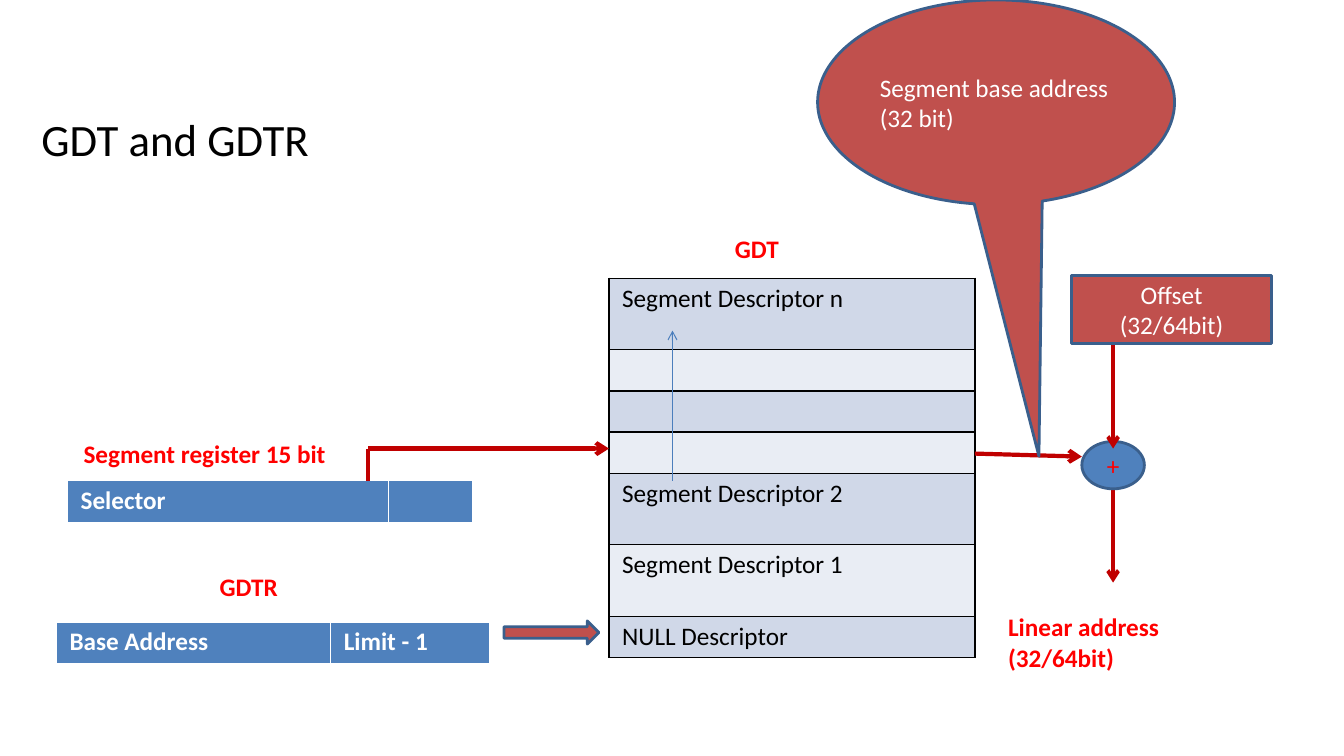
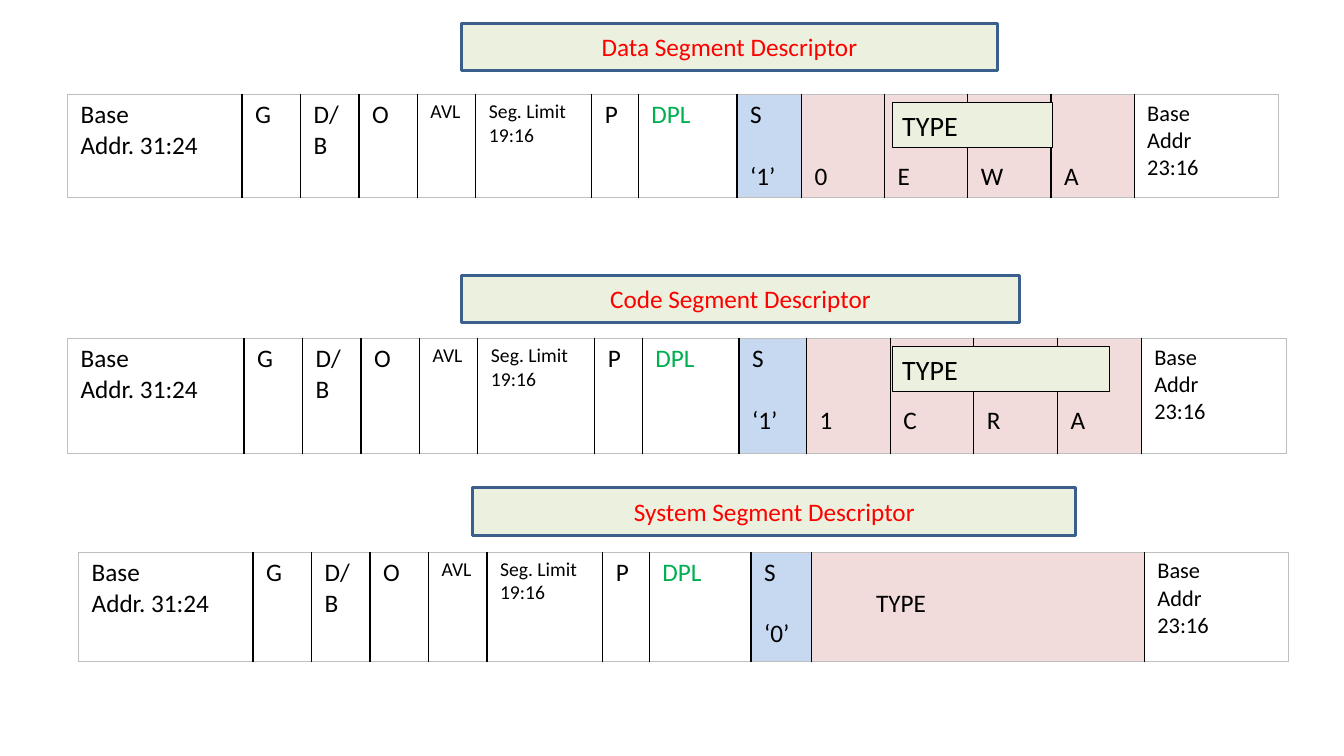
from lxml.etree import SubElement
from pptx import Presentation
from pptx.dml.color import RGBColor
from pptx.enum.shapes import MSO_CONNECTOR, MSO_SHAPE
from pptx.enum.text import MSO_ANCHOR, MSO_AUTO_SIZE, PP_ALIGN
from pptx.oxml.ns import qn
from pptx.util import Pt

PX = 9144
FONT = "Calibri"

BLACK = RGBColor(0x00, 0x00, 0x00)
WHITE = RGBColor(0xFF, 0xFF, 0xFF)
GREY = RGBColor(0xBF, 0xBF, 0xBF)
RED = RGBColor(0xFF, 0x00, 0x00)
DARK_RED = RGBColor(0xC0, 0x00, 0x00)
BRICK = RGBColor(0xC0, 0x50, 0x4D)
BLUE = RGBColor(0x4F, 0x81, 0xBD)
LINE_BLUE = RGBColor(0x4B, 0x7E, 0xBC)
EDGE_BLUE = RGBColor(0x3A, 0x5F, 0x8C)
BAND_DARK = RGBColor(0xD0, 0xD8, 0xE8)
BAND_LIGHT = RGBColor(0xE9, 0xED, 0xF4)
SKY = RGBColor(0xC6, 0xD9, 0xF1)
PINK = RGBColor(0xF2, 0xDC, 0xDB)
PALE_GREEN = RGBColor(0xEB, 0xF1, 0xDE)
GREEN = RGBColor(0x00, 0xB0, 0x50)

TITLE = "GDT and GDTR"
GDT_ROWS = [
    ("Segment Descriptor n", 71),
    ("", 41),
    ("", 40),
    ("", 41),
    ("Segment Descriptor 2", 71),
    ("Segment Descriptor 1", 71),
    ("NULL Descriptor", 41),
]
REGISTERS = [
    (56, 617, [("Base Address", 272), ("Limit - 1", 158)]),
    (67, 477, [("Selector", 318), ("", 84)]),
]
CAPTIONS = [
    ("GDT", 719, 227, 64, 40),
    ("GDTR", 208, 562, 79, 40),
    ("Segment register 15 bit", 73, 430, 262, 40),
    ("Linear address\n(32/64bit)", 990, 602, 171, 71),
]
LINES = [
    ((667, 477), (667, 328), LINE_BLUE, 0.75, True),
    ((967, 450), (1073, 453), DARK_RED, 3, True),
    ((1104, 484), (1104, 578), DARK_RED, 2.75, True),
    ((365, 477), (365, 445), DARK_RED, 3, False),
    ((365, 445), (604, 445), DARK_RED, 3, True),
]
OFFSET_LINE = ((1104, 328), (1104, 445), DARK_RED, 2.75, True)

LEADING_FIELDS = [
    ("Base\nAddr. 31:24", 18, BLACK),
    ("G", 18, BLACK),
    ("D/B", 18, BLACK),
    ("O", 18, BLACK),
    ("AVL", 14, BLACK),
    ("Seg. Limit 19:16", 14, BLACK),
    ("P", 18, BLACK),
    ("DPL", 18, GREEN),
]
LAST_FIELD = ("Base\nAddr\n23:16", 16, BLACK)
DESCRIPTORS = [
    {
        "name": "Data Segment Descriptor", "label": (458, 23, 531),
        "at": (67, 94), "height": 100, "s": "‘1’", "type_bits": "0EWA",
        "type_box": (885, 102, 159),
        "widths": [173] + [58] * 4 + [115, 46, 98, 64] + [82.5] * 4 + [143],
    },
    {
        "name": "Code Segment Descriptor", "label": (458, 273, 553),
        "at": (67, 336), "height": 114, "s": "‘1’", "type_bits": "1CRA",
        "type_box": (885, 344, 215),
        "widths": [175] + [58] * 4 + [116, 47, 96, 67] + [83] * 4 + [144],
    },
    {
        "name": "System Segment Descriptor", "label": (469, 484, 598),
        "at": (78, 548), "height": 108, "s": "‘0’", "type_bits": "",
        "type_box": None,
        "widths": [173] + [58] * 4 + [115, 46, 101, 60, 330, 143],
    },
]


def px(*lengths):
    return [round(length * PX) for length in lengths]


def write(frame, text, size=18, color=BLACK, bold=False, align=PP_ALIGN.LEFT):
    frame.text = text
    for paragraph in frame.paragraphs:
        paragraph.alignment = align
        font = paragraph.font
        font.name, font.size, font.bold = FONT, Pt(size), bold
        font.color.rgb = color


def add_block(slide, kind, box, fill, edge=EDGE_BLUE, edge_width=2):
    block = slide.shapes.add_shape(kind, *px(*box))
    block.shadow.inherit = False
    block.fill.solid()
    block.fill.fore_color.rgb = fill
    block.line.color.rgb = edge
    block.line.width = Pt(edge_width)
    block.text_frame.word_wrap = True
    block.text_frame.vertical_anchor = MSO_ANCHOR.MIDDLE
    return block


def add_line(slide, start, end, color, width, arrow):
    line = slide.shapes.add_connector(MSO_CONNECTOR.STRAIGHT, *px(*start, *end))
    line.line.color.rgb = color
    line.line.width = Pt(width)
    if arrow:
        SubElement(line.line._get_or_add_ln(), qn("a:tailEnd"), type="arrow")
    SubElement(line._element.spPr, qn("a:effectLst"))


def add_grid(slide, at, widths, heights, header=False):
    box = px(*at, sum(widths), sum(heights))
    grid = slide.shapes.add_table(len(heights), len(widths), *box).table
    grid.first_row, grid.horz_banding = header, False
    for column, width in zip(grid.columns, px(*widths)):
        column.width = width
    for row, height in zip(grid.rows, px(*heights)):
        row.height = height
    return grid


def fill_cell(cell, text, fill, size=18, color=BLACK, bold=False, left=13, top=5):
    cell.margin_left, cell.margin_right = px(left, 13)
    cell.margin_top, cell.margin_bottom = px(top, 5)
    write(cell.text_frame, text, size, color, bold)
    if fill is None:
        cell.fill.background()
    else:
        cell.fill.solid()
        cell.fill.fore_color.rgb = fill


def set_borders(cell, **colors):
    properties = cell._tc.get_or_add_tcPr()
    for index, side in enumerate("LRTB"):
        color = colors[side]
        edge = SubElement(properties, qn("a:ln" + side), w=str(Pt(1 if color == BLACK else 0.5)))
        paint = SubElement(edge, qn("a:solidFill"))
        SubElement(paint, qn("a:srgbClr"), val=str(color))
        properties.insert(index, edge)


def build_gdt(slide):
    title = slide.shapes.title
    title.left, title.top, title.width, title.height = px(31, 63, 667, 148)
    title.text_frame.vertical_anchor = MSO_ANCHOR.MIDDLE
    write(title.text_frame, TITLE, 32)

    gdt = add_grid(slide, (604, 276), [363], [height for _, height in GDT_ROWS])
    for index, (text, _) in enumerate(GDT_ROWS):
        cell = gdt.cell(index, 0)
        fill_cell(cell, text, BAND_LIGHT if index % 2 else BAND_DARK)
        set_borders(cell, **dict.fromkeys("LRTB", BLACK))

    for left, top, fields in REGISTERS:
        register = add_grid(slide, (left, top), [width for _, width in fields], [41], True)
        for index, (text, _) in enumerate(fields):
            fill_cell(register.cell(0, index), text, BLUE, color=WHITE, bold=True)

    add_block(slide, MSO_SHAPE.RIGHT_ARROW, (500, 616, 94, 23), BRICK)
    for line in LINES:
        add_line(slide, *line)

    adder = add_block(slide, MSO_SHAPE.OVAL, (1073, 438, 62, 47), BLUE)
    write(adder.text_frame, "+", color=RED, align=PP_ALIGN.CENTER)
    add_line(slide, *OFFSET_LINE)

    base_callout = add_block(slide, MSO_SHAPE.OVAL_CALLOUT, (811, 0, 354, 203), BRICK)
    base_callout.adjustments[0] = 0.12
    base_callout.adjustments[1] = 1.73
    write(base_callout.text_frame, "Segment base address (32 bit)", color=WHITE)

    offset = add_block(slide, MSO_SHAPE.RECTANGLE, (1063, 273, 198, 68), BRICK)
    write(offset.text_frame, "Offset\n(32/64bit)", color=WHITE, align=PP_ALIGN.CENTER)

    for text, *box in CAPTIONS:
        caption = slide.shapes.add_textbox(*px(*box)).text_frame
        caption.word_wrap = False
        caption.auto_size = MSO_AUTO_SIZE.SHAPE_TO_FIT_TEXT
        write(caption, text, color=RED, bold=True)


def build_descriptor(slide, descriptor):
    widths = descriptor["widths"]
    grid = add_grid(slide, descriptor["at"], widths, [descriptor["height"]])
    cells = [grid.cell(0, index) for index in range(len(widths))]
    s_index = len(LEADING_FIELDS)

    for cell, (text, size, color) in zip(cells, LEADING_FIELDS):
        fill_cell(cell, text, None, size, color)
    fill_cell(cells[s_index], "S\n" + descriptor["s"], SKY)
    cells[s_index].text_frame.paragraphs[1].space_before = Pt(22)
    type_cells = cells[s_index + 1:-1]
    if descriptor["type_bits"]:
        for cell, bit in zip(type_cells, descriptor["type_bits"]):
            fill_cell(cell, bit, PINK, top=66)
    else:
        fill_cell(type_cells[0], "TYPE", PINK, left=64, top=36)
    text, size, color = LAST_FIELD
    fill_cell(cells[-1], text, None, size, color)

    for cell in cells:
        set_borders(cell, L=GREY if cell is cells[0] else BLACK,
                    R=GREY if cell is cells[-1] else BLACK, T=GREY, B=GREY)

    if descriptor["type_box"]:
        type_box = add_block(slide, MSO_SHAPE.RECTANGLE, (*descriptor["type_box"], 44),
                             PALE_GREEN, BLACK, 0.75)
        write(type_box.text_frame, "TYPE", 20)

    label = add_block(slide, MSO_SHAPE.RECTANGLE, (*descriptor["label"], 47), PALE_GREEN)
    write(label.text_frame, descriptor["name"], color=RED, align=PP_ALIGN.CENTER)


def main():
    deck = Presentation()
    deck.slide_width, deck.slide_height = px(1333, 750)
    build_gdt(deck.slides.add_slide(deck.slide_layouts[5]))
    descriptors_slide = deck.slides.add_slide(deck.slide_layouts[6])
    for descriptor in DESCRIPTORS:
        build_descriptor(descriptors_slide, descriptor)
    deck.save("out.pptx")


if __name__ == "__main__":
    main()
